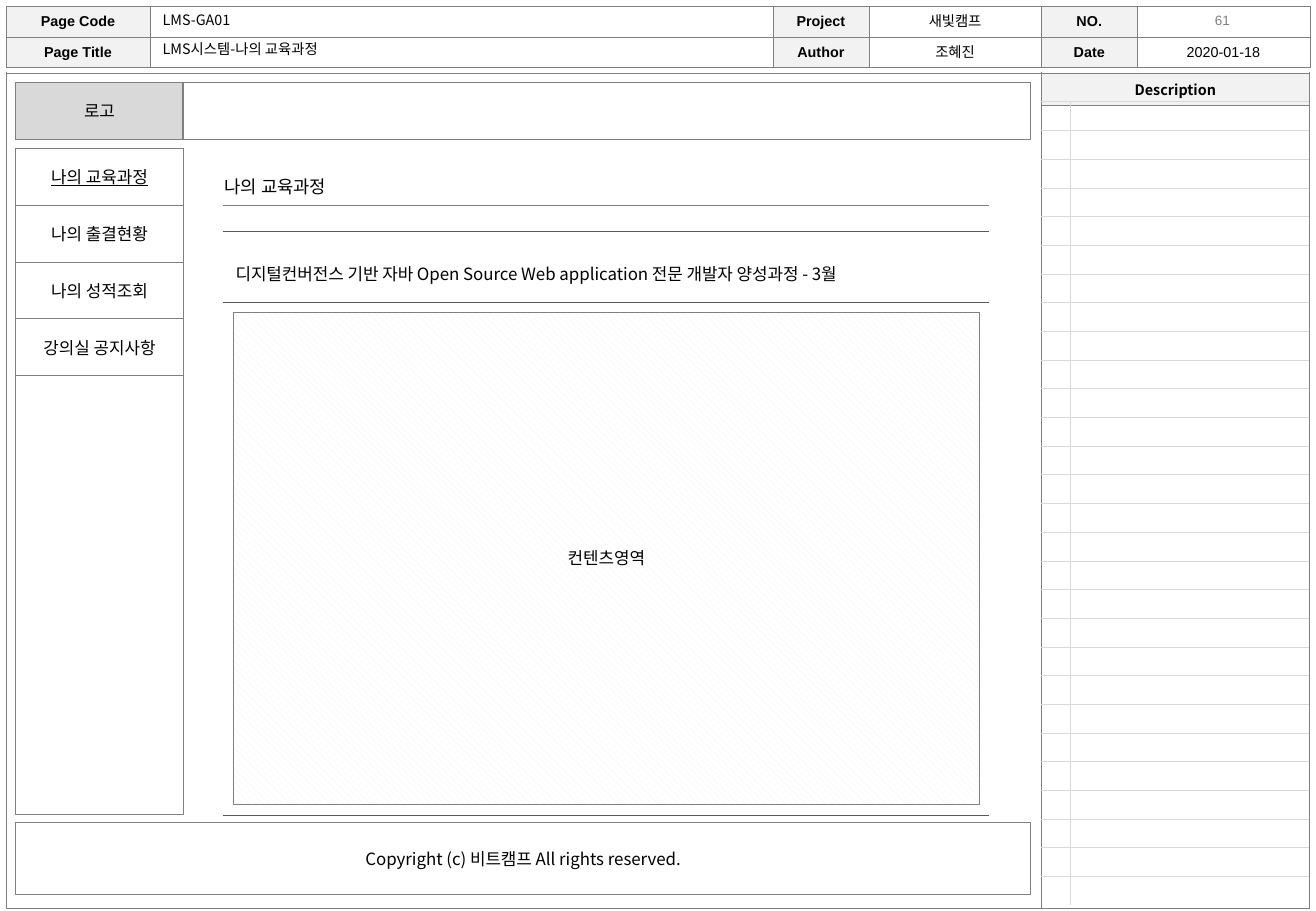
from dataclasses import dataclass

from lxml.etree import SubElement
from pptx import Presentation
from pptx.dml.color import RGBColor
from pptx.enum.dml import MSO_PATTERN
from pptx.enum.shapes import MSO_CONNECTOR, MSO_SHAPE
from pptx.enum.text import MSO_ANCHOR, MSO_AUTO_SIZE, PP_ALIGN
from pptx.oxml.ns import qn
from pptx.util import Cm, Pt


@dataclass(frozen=True)
class Theme:
    korean: str = "Noto Sans CJK KR"
    latin: str = "Arial"
    text: str = "000000"
    muted: str = "7F7F7F"
    white: str = "FFFFFF"
    label: str = "F2F2F2"
    logo: str = "D9D9D9"
    line: str = "808080"
    dark_line: str = "595959"
    light_line: str = "D9D9D9"
    small: float = 8
    label_size: float = 8.5
    body: float = 10
    heading: float = 10.5


T = Theme()
CENTER = PP_ALIGN.CENTER


def rgb(value):
    return RGBColor.from_string(value)


def write(tf, text, size=T.body, font=T.korean, color=T.text, align=None,
          bold=False, underline=False):
    p = tf.paragraphs[0]
    p.alignment = align
    r = p.add_run()
    r.text = text
    r.font.size = Pt(size)
    r.font.name = font
    r.font.bold = bold
    r.font.underline = underline
    r.font.color.rgb = rgb(color)
    SubElement(r.font._element, qn("a:ea"), typeface=font)
    return p


def add_box(s, x, y, w, h, text="", fill=T.white, width=0.5, underline=False):
    sp = s.shapes.add_shape(MSO_SHAPE.RECTANGLE, Cm(x), Cm(y), Cm(w), Cm(h))
    sp.shadow.inherit = False
    sp.fill.solid()
    sp.fill.fore_color.rgb = rgb(fill)
    sp.line.color.rgb = rgb(T.line)
    sp.line.width = Pt(width)
    if text:
        sp.text_frame.vertical_anchor = MSO_ANCHOR.MIDDLE
        write(sp.text_frame, text, align=CENTER, underline=underline)
    return sp


def add_text(s, x, y, w, h, text, wrap=True, **style):
    tf = s.shapes.add_textbox(Cm(x), Cm(y), Cm(w), Cm(h)).text_frame
    tf.word_wrap = wrap
    tf.auto_size = MSO_AUTO_SIZE.SHAPE_TO_FIT_TEXT
    write(tf, text, **style)


def add_rule(s, x1, x2, y):
    line = s.shapes.add_connector(MSO_CONNECTOR.STRAIGHT, Cm(x1), Cm(y), Cm(x2), Cm(y))
    line.line.color.rgb = rgb(T.line)
    line.line.width = Pt(0.5)
    SubElement(line._element.spPr, qn("a:effectLst"))


def add_grid(s, x, y, cols, rows):
    frame = s.shapes.add_table(len(rows), len(cols), Cm(x), Cm(y),
                               Cm(sum(cols)), Cm(sum(rows)))
    table = frame.table
    table.first_row = table.horz_banding = False
    for column, width in zip(table.columns, cols):
        column.width = Cm(width)
    for row, height in zip(table.rows, rows):
        row.height = Cm(height)
    return table


def style_cell(cell, color, width, sides="LRTB", fill=None):
    tcPr = cell._tc.get_or_add_tcPr()
    for side in "LRTB":
        ln = SubElement(tcPr, qn(f"a:ln{side}"), w=str(Pt(width)))
        if side in sides:
            solid = SubElement(ln, qn("a:solidFill"))
            SubElement(solid, qn("a:srgbClr"), val=color)
        else:
            SubElement(ln, qn("a:noFill"))
    if fill:
        cell.fill.solid()
        cell.fill.fore_color.rgb = rgb(fill)
    else:
        cell.fill.background()


def set_margins(cell, margin):
    cell.margin_left = cell.margin_right = Cm(margin)
    cell.margin_top = cell.margin_bottom = Cm(margin)


def leave_empty(cell):
    set_margins(cell, 0)
    SubElement(cell.text_frame.paragraphs[0]._p, qn("a:endParaRPr"), sz="800")


def add_page_frame(s):
    table = add_grid(s, 0.13, 1.52, [21.64, 5.6], [0.69, 16.79])
    style_cell(table.cell(0, 0), T.line, 0.25, "LTR")
    style_cell(table.cell(1, 0), T.line, 0.25, "LRB")
    style_cell(table.cell(0, 1), T.line, 0.25, fill=T.label)
    style_cell(table.cell(1, 1), T.line, 0.25)
    for row, col in [(0, 0), (1, 0), (1, 1)]:
        leave_empty(table.cell(row, col))
    write(table.cell(0, 1).text_frame, "Description", T.label_size,
          align=CENTER, bold=True)


def add_header(s):
    rows = [
        ["Page Code", "", "Project", "새빛캠프", "NO.", ""],
        ["Page Title", "", "Author", "조혜진", "Date", "2020-01-18"],
    ]
    table = add_grid(s, 0.13, 0.13, [3, 13.03, 2, 3.61, 2, 3.61], [0.64] * 2)
    for i, row in enumerate(rows):
        for j, text in enumerate(row):
            cell = table.cell(i, j)
            is_label = j % 2 == 0
            style_cell(cell, T.line, 0.25, fill=T.label if is_label else None)
            if not text:
                leave_empty(cell)
                continue
            set_margins(cell, 0.1)
            cell.vertical_anchor = MSO_ANCHOR.MIDDLE
            write(cell.text_frame, text, T.label_size, T.latin,
                  align=CENTER, bold=is_label)
    add_text(s, 23.75, 0.13, 3.61, 0.61, "61", size=T.small, font=T.latin,
             color=T.muted, align=CENTER)
    add_text(s, 3.15, 0.1, 13, 0.61, "LMS-GA01", size=T.label_size)
    add_text(s, 3.15, 0.72, 13, 0.61, "LMS시스템-나의 교육과정", size=T.label_size)


def add_sidebar(s):
    menu = ["나의 교육과정", "나의 출결현황", "나의 성적조회", "강의실 공지사항"]
    add_box(s, 0.33, 3.1, 3.5, 13.94)
    for i, text in enumerate(menu):
        add_box(s, 0.33, 3.1 + i * 1.19, 3.5, 1.19, text, underline=i == 0)


def add_course(s):
    add_text(s, 4.45, 3.56, 2.9, 0.71, "나의 교육과정", wrap=False, size=T.heading)
    add_rule(s, 4.67, 20.68, 4.29)
    table = add_grid(s, 4.67, 4.83, [16.01], [1.5, 10.72])
    title, body = table.cell(0, 0), table.cell(1, 0)
    style_cell(title, T.dark_line, 0.5, "TB")
    style_cell(body, T.dark_line, 0.5, "TB")
    leave_empty(body)
    title.vertical_anchor = MSO_ANCHOR.MIDDLE
    p = write(title.text_frame, "디지털컨버전스 기반 자바 Open Source Web application "
              "전문 개발자 양성과정 - 3월")
    p.line_spacing = 1.5
    area = add_box(s, 4.88, 6.53, 15.6, 10.29)
    area.fill.patterned()
    area.fill.pattern = MSO_PATTERN.WIDE_DOWNWARD_DIAGONAL
    area.fill.fore_color.rgb = rgb(T.label)
    area.fill.back_color.rgb = rgb(T.white)
    add_text(s, 11.53, 11.33, 2.29, 0.69, "컨텐츠영역", wrap=False, align=CENTER)


def add_description_grid(s):
    count = 28
    table = add_grid(s, 21.77, 2.13, [0.6, 5], [0.6] * count)
    for i in range(count):
        bottom = "B" if i < count - 1 else ""
        for j, inner in enumerate("RL"):
            cell = table.cell(i, j)
            style_cell(cell, T.light_line, 0.5, inner + "T" + bottom)
            leave_empty(cell)


def main():
    prs = Presentation()
    prs.slide_width, prs.slide_height = Cm(27.51), Cm(19.05)
    s = prs.slides.add_slide(prs.slide_layouts[6])
    add_page_frame(s)
    add_header(s)
    add_box(s, 0.33, 1.73, 21.21, 1.19)
    add_box(s, 0.33, 1.73, 3.5, 1.19, "로고", T.logo, 0.75)
    add_sidebar(s)
    add_course(s)
    add_box(s, 0.33, 17.2, 21.21, 1.5, "Copyright (c) 비트캠프 All rights reserved.")
    add_description_grid(s)
    prs.save("out.pptx")


if __name__ == "__main__":
    main()
